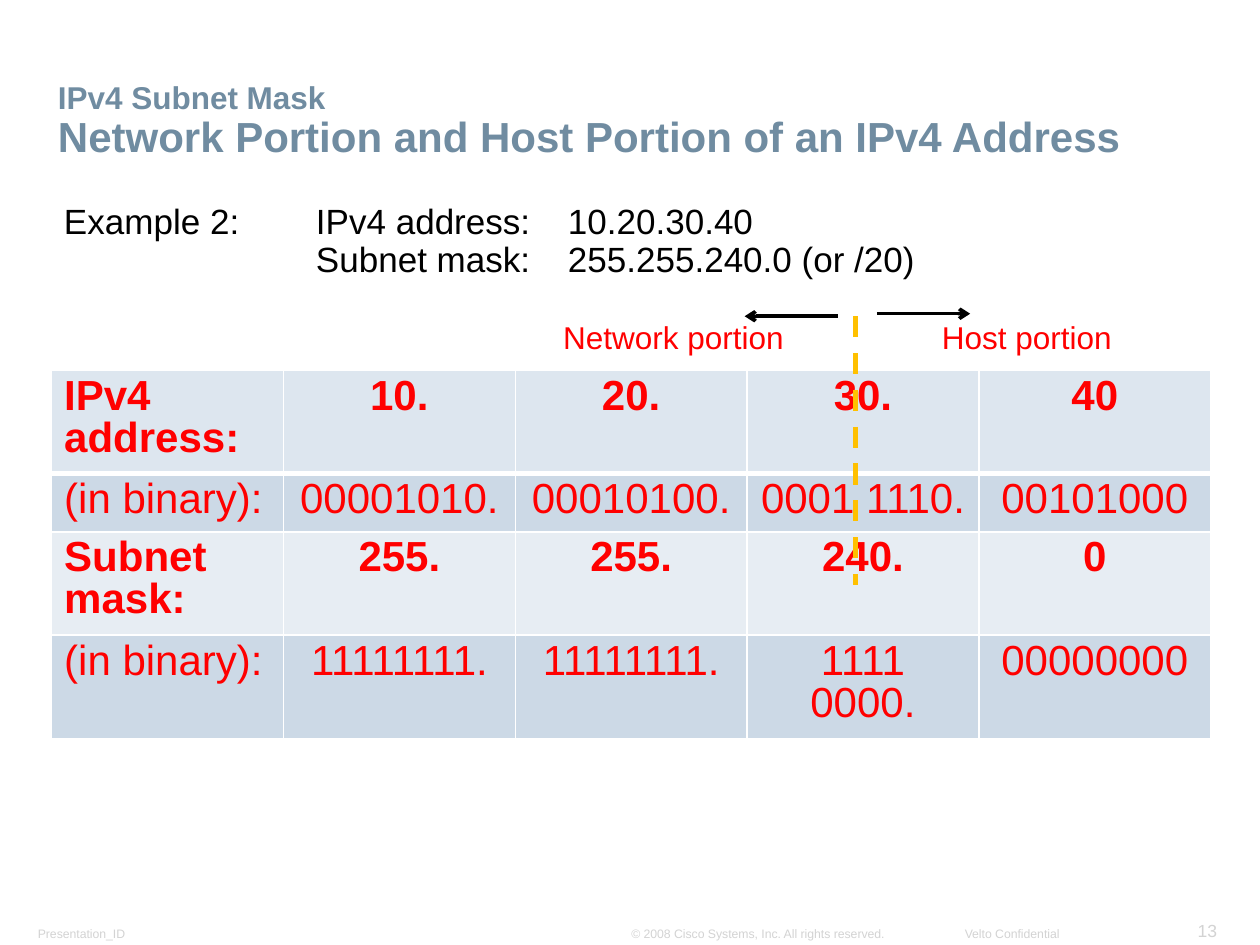
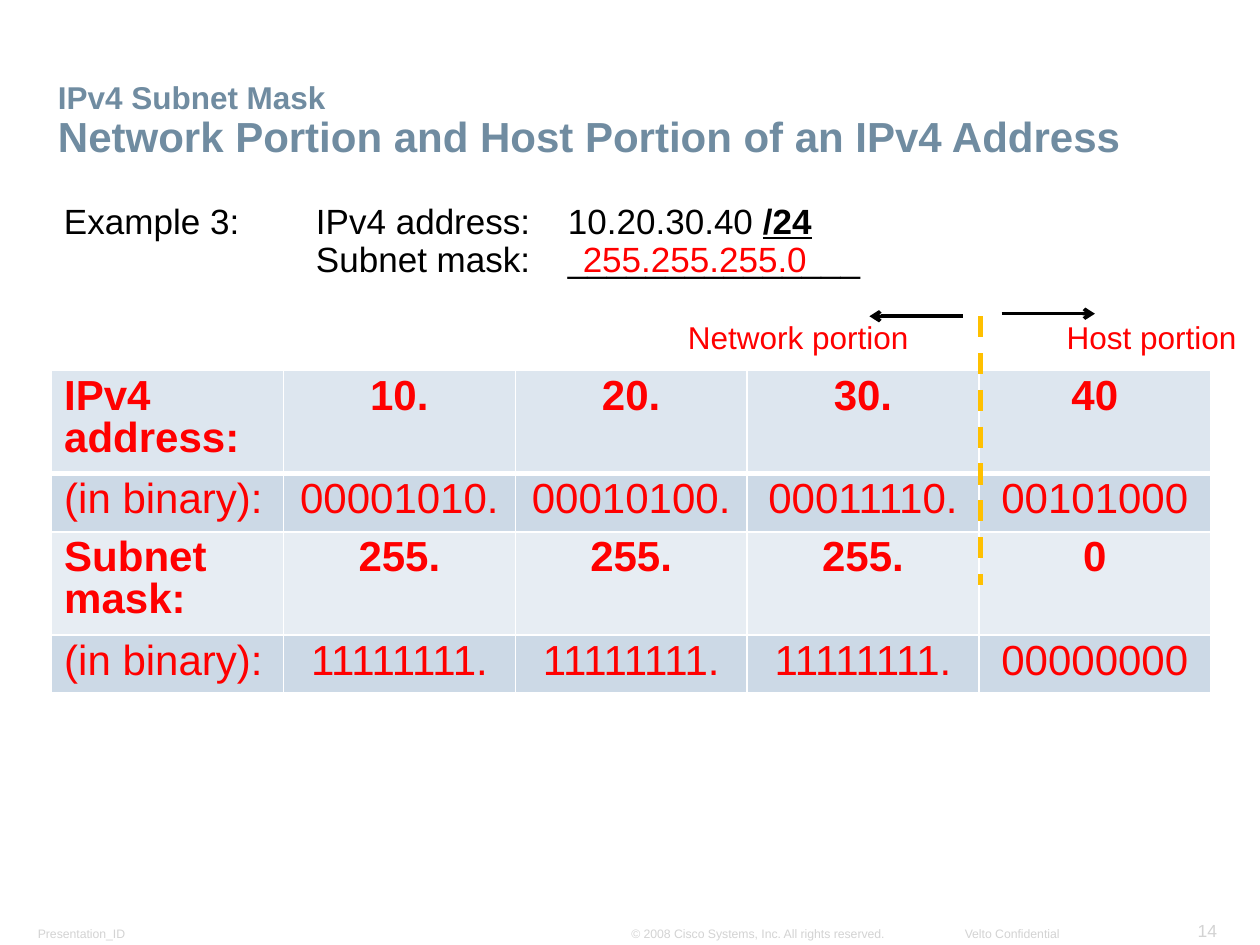
from lxml.etree import SubElement
from pptx import Presentation
from pptx.dml.color import RGBColor
from pptx.enum.dml import MSO_LINE
from pptx.enum.shapes import MSO_CONNECTOR
from pptx.enum.text import MSO_ANCHOR, PP_ALIGN
from pptx.oxml import parse_xml
from pptx.oxml.ns import nsdecls, qn
from pptx.util import Inches, Pt

# Content
TITLE = [("IPv4 Subnet Mask", 18),
         ("Network Portion and Host Portion of an IPv4 Address", 24)]
EXAMPLES = [
    {
        "number": "13",
        "lines": ["Example 2:\tIPv4 address:\t10.20.30.40",
                  "\tSubnet mask:\t255.255.240.0 (or /20)"],
        "prefix": "",
        "answer": "",
        "divider": 6.79,
        "rows": [
            ["IPv4 address:", "10.", "20.", "30.", "40"],
            ["(in binary):", "00001010.", "00010100.", "0001 1110.", "00101000"],
            ["Subnet mask:", "255.", "255.", "240.", "0"],
            ["(in binary):", "11111111.", "11111111.", "1111\v0000.", "00000000"],
        ],
    },
    {
        "number": "14",
        "lines": ["Example 3:\tIPv4 address:\t10.20.30.40 ",
                  "\tSubnet mask:\t_______________"],
        "prefix": "/24",
        "answer": "255.255.255.0",
        "divider": 7.78,
        "rows": [
            ["IPv4 address:", "10.", "20.", "30.", "40"],
            ["(in binary):", "00001010.", "00010100.", "00011110.", "00101000"],
            ["Subnet mask:", "255.", "255.", "255.", "0"],
            ["(in binary):", "11111111.", "11111111.", "11111111.", "00000000"],
        ],
    },
]
# Footer parts: text, box, alignment
FOOTERS = [
    ("Presentation_ID", (0.21, 7.3, 1.05, 0.21), PP_ALIGN.LEFT),
    ("© 2008 Cisco Systems, Inc. All rights reserved.",
     (4.92, 7.3, 2.21, 0.21), PP_ALIGN.LEFT),
    ("Velto Confidential", (7.54, 7.3, 0.96, 0.21), PP_ALIGN.RIGHT),
]
# Parts placed from the divider: label, offset, width
PORTION_LABELS = [("Network portion", -2.43, 1.97), ("Host portion", 0.58, 1.56)]
# Arrows: start offset, end offset, height on the slide
PORTION_ARROWS = [(-0.14, -0.88, 2.51), (0.17, 0.91, 2.49)]

# Shared style
FONT = "Arial"
TITLE_BLUE, FOOTER_GREY, BLACK = "708CA1", "D3D3D3", "000000"
RED, AMBER, WHITE = "FF0000", "FFC000", "FFFFFF"
ROW_FILLS = ["DDE6EF", "CCD9E6", "E7EDF3", "CCD9E6"]
COLUMN_WIDTH, ROW_HEIGHT = 1.84, 0.41
TAB_STOPS = [2, 4]
SMALL_INSETS = (0.09, 0.04)


def color(value):
    return RGBColor.from_string(value)


def style(paragraph, size, fill, bold=False, align=PP_ALIGN.LEFT, spacing=0.9):
    paragraph.alignment = align
    paragraph.line_spacing = spacing
    font = paragraph.font
    font.name, font.size, font.bold = FONT, Pt(size), bold
    font.color.rgb = color(fill)


def add_frame(slide, box, insets=(0.1, 0.05), wrap=True, anchor=MSO_ANCHOR.TOP):
    frame = slide.shapes.add_textbox(*map(Inches, box)).text_frame
    frame.word_wrap, frame.vertical_anchor = wrap, anchor
    frame.margin_left = frame.margin_right = Inches(insets[0])
    frame.margin_top = frame.margin_bottom = Inches(insets[1])
    return frame


def add_label(slide, text, box, size, fill):
    paragraph = add_frame(slide, box, wrap=False).paragraphs[0]
    paragraph.text = text
    style(paragraph, size, fill, align=PP_ALIGN.CENTER)


def add_footers(slide, number):
    page = (number, (9.4, 7.25, 0.35, 0.26), PP_ALIGN.RIGHT)
    for text, box, align in FOOTERS + [page]:
        frame = add_frame(slide, box, SMALL_INSETS, False, MSO_ANCHOR.BOTTOM)
        paragraph = frame.paragraphs[0]
        paragraph.text = text
        style(paragraph, 10 if text == number else 7, FOOTER_GREY,
              align=align, spacing=1.0)


def add_title(slide):
    frame = add_frame(slide, (0.37, 0.34, 9.44, 0.98), SMALL_INSETS,
                      anchor=MSO_ANCHOR.BOTTOM)
    paragraph = frame.paragraphs[0]
    for index, (text, size) in enumerate(TITLE):
        if index:
            paragraph.add_line_break()
        run = paragraph.add_run()
        run.text, run.font.size = text, Pt(size)
    style(paragraph, 24, TITLE_BLUE, bold=True)


def add_example_text(slide, example):
    frame = add_frame(slide, (0.41, 1.57, 8.93, 0.71))
    for index, line in enumerate(example["lines"]):
        paragraph = frame.add_paragraph() if index else frame.paragraphs[0]
        paragraph.text = line
        tabs = SubElement(paragraph._p.get_or_add_pPr(), qn("a:tabLst"))
        for stop in TAB_STOPS:
            SubElement(tabs, qn("a:tab"), pos=str(Inches(stop)), algn="l")
        style(paragraph, 20, BLACK)
    if example["prefix"]:
        run = frame.paragraphs[0].add_run()
        run.text = example["prefix"]
        run.font.bold = run.font.underline = True


def set_borders(cell, top, bottom):
    properties = cell._tc.get_or_add_tcPr()
    widths = {"lnL": 1, "lnR": 1, "lnT": top, "lnB": bottom}
    for index, (side, width) in enumerate(widths.items()):
        properties.insert(index, parse_xml(
            f'<a:{side} {nsdecls("a")} w="{Pt(width)}"><a:solidFill>'
            f'<a:srgbClr val="{WHITE}"/></a:solidFill></a:{side}>'))


def add_address_table(slide, rows):
    row_count, column_count = len(rows), len(rows[0])
    table = slide.shapes.add_table(
        row_count, column_count, Inches(0.41), Inches(2.94),
        Inches(COLUMN_WIDTH * column_count), Inches(ROW_HEIGHT * row_count)).table
    table.first_row = table.horz_banding = False
    for column in table.columns:
        column.width = Inches(COLUMN_WIDTH)
    for row_index, texts in enumerate(rows):
        table.rows[row_index].height = Inches(ROW_HEIGHT)
        for column_index, text in enumerate(texts):
            cell = table.cell(row_index, column_index)
            cell.text = text
            cell.fill.solid()
            cell.fill.fore_color.rgb = color(ROW_FILLS[row_index])
            set_borders(cell, top=3 if row_index == 1 else 1,
                        bottom=3 if row_index == 0 else 1)
            style(cell.text_frame.paragraphs[0], 24, RED,
                  bold=row_index % 2 == 0,
                  align=PP_ALIGN.CENTER if column_index else PP_ALIGN.LEFT)


def add_line(slide, start, end, fill, width, dashed=False, arrow=False):
    connector = slide.shapes.add_connector(
        MSO_CONNECTOR.STRAIGHT, *map(Inches, start + end))
    line = connector.line
    line.color.rgb, line.width = color(fill), Pt(width)
    if dashed:
        line.dash_style = MSO_LINE.DASH
    if arrow:
        SubElement(line._get_or_add_ln(), qn("a:tailEnd"), type="arrow")
    SubElement(connector._element.spPr, qn("a:effectLst"))


def add_portions(slide, divider):
    add_line(slide, (divider, 2.51), (divider, 4.64), AMBER, 3, dashed=True)
    for text, offset, width in PORTION_LABELS:
        add_label(slide, text, (divider + offset, 2.51, width, 0.37), 18, RED)
    for start, end, top in PORTION_ARROWS:
        add_line(slide, (divider + start, top), (divider + end, top),
                 BLACK, 2, arrow=True)


def main():
    presentation = Presentation()
    presentation.slide_width, presentation.slide_height = Inches(10), Inches(7.5)
    for example in EXAMPLES:
        slide = presentation.slides.add_slide(presentation.slide_layouts[6])
        add_footers(slide, example["number"])
        add_title(slide)
        add_example_text(slide, example)
        add_address_table(slide, example["rows"])
        add_portions(slide, example["divider"])
        if example["answer"]:
            add_label(slide, example["answer"], (4.52, 1.87, 1.99, 0.4), 20, RED)
    presentation.save("out.pptx")


if __name__ == "__main__":
    main()
